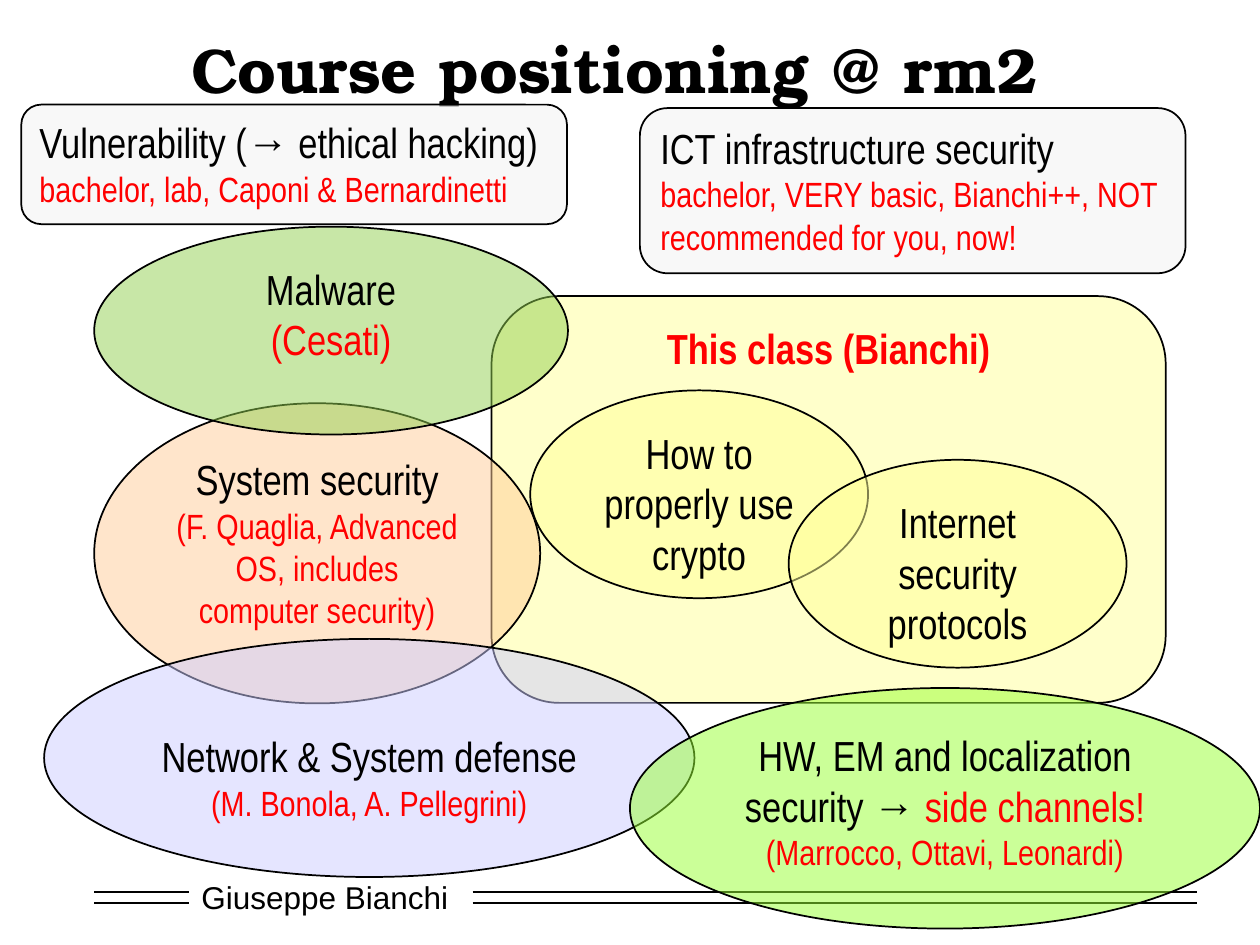
from lxml import etree
from pptx import Presentation
from pptx.dml.color import RGBColor
from pptx.enum.shapes import MSO_CONNECTOR, MSO_SHAPE
from pptx.enum.text import MSO_ANCHOR, PP_ALIGN
from pptx.oxml.ns import qn
from pptx.util import Cm, Pt

ELLIPSE, ROUNDED = MSO_SHAPE.OVAL, MSO_SHAPE.ROUNDED_RECTANGLE
STRAIGHT = MSO_CONNECTOR.STRAIGHT
TOP, MIDDLE = MSO_ANCHOR.TOP, MSO_ANCHOR.MIDDLE
LEFT, CENTER = PP_ALIGN.LEFT, PP_ALIGN.CENTER
TITLE_ONLY = 5
TITLE_FONT, TOPIC_FONT, FOOTER_FONT = "TeX Gyre Bonum", "Arial Narrow", "Arial"
COLORS = {
    "black": "000000", "red": "FF0000", "white": "FFFFFF", "yellow": "FFFF99",
    "orange": "FFCC99", "lavender": "CCCCFF", "lime": "99FF33",
    "green": "92D050", "gray": "F2F2F2",
}


def color(name):
    """Return the named colour."""
    return RGBColor.from_string(COLORS[name])


def style(para, font, size, tint="black", bold=False, align=LEFT):
    """Set the font and alignment of a paragraph."""
    para.alignment = align
    para.font.name, para.font.size, para.font.bold = font, Pt(size), bold
    para.font.color.rgb = color(tint)


def add_title(page, box, text):
    """Place and format the title placeholder."""
    title = page.shapes.title
    title.left, title.top, title.width, title.height = map(Cm, box)
    frame = title.text_frame
    frame.text, frame.vertical_anchor, frame.word_wrap = text, MIDDLE, True
    style(frame.paragraphs[0], TITLE_FONT, 36, bold=True, align=CENTER)


def add_footer(page, box, author):
    """Draw the author between two double rules."""
    left, top, width, height = box
    label_left, label_width, right_start = 1.91, 5.51, 7.63
    label = page.shapes.add_textbox(
        Cm(left + label_left), Cm(top), Cm(label_width), Cm(height))
    label.fill.solid()
    label.fill.fore_color.rgb = color("white")
    frame = label.text_frame
    frame.text, frame.vertical_anchor, frame.word_wrap = author, MIDDLE, True
    frame.margin_right = 0
    style(frame.paragraphs[0], FOOTER_FONT, 18)
    for drop in (0.4, 0.63):
        for start, end in ((0, label_left), (right_start, width)):
            rule = page.shapes.add_connector(
                STRAIGHT, Cm(left + start), Cm(top + drop),
                Cm(left + end), Cm(top + drop))
            rule.line.color.rgb = color("black")
            rule.line.width = Pt(1)
            etree.SubElement(rule._element.spPr, qn("a:effectLst"))


def add_topic(page, kind, box, fill, lines, align=CENTER, bold=False, margin=0.13):
    """Draw a half-transparent outline with lines of (size, (text, tint), ...)."""
    topic = page.shapes.add_shape(kind, *map(Cm, box))
    topic.shadow.inherit = False
    topic.fill.solid()
    topic.fill.fore_color.rgb = color(fill)
    tone = topic.fill._xPr.find(qn("a:solidFill"))[0]
    etree.SubElement(tone, qn("a:alpha"), val="50000")
    topic.line.color.rgb = color("black")
    topic.line.width = Pt(1)
    frame = topic.text_frame
    frame.word_wrap, frame.vertical_anchor = True, TOP
    frame.margin_top = Cm(margin)
    for index, (size, *spans) in enumerate(lines):
        para = frame.add_paragraph() if index else frame.paragraphs[0]
        style(para, TOPIC_FONT, size, spans[0][1], bold, align)
        for text, tint in spans:
            span = para.add_run()
            span.text = text
            if tint != spans[0][1]:
                span.font.color.rgb = color(tint)


def add_class(page, box):
    """Draw this class with its two overlapping subjects."""
    left, top, _, _ = box
    add_topic(page, ROUNDED, box, "yellow",
              [(24, ("This class (Bianchi)", "red"))], bold=True)
    subjects = (("How to properly use crypto", 0.78, 1.9),
                ("Internet security protocols", 5.99, 3.3))
    for text, shift, drop in subjects:
        add_topic(page, ELLIPSE, (left + shift, top + drop, 6.81, 4.19),
                  "yellow", [(24, (text, "black"))])


def add_related_courses(page):
    """Draw the ellipses of the neighbouring courses."""
    add_topic(page, ELLIPSE, (1.9, 8.13, 8.99, 6.05), "orange", [
        (24, ("System security", "black")),
        (20, ("(F. Quaglia, Advanced OS, includes computer security)", "red"))])
    add_topic(page, ELLIPSE, (0.89, 12.88, 13.11, 4.8), "lavender", [
        (24, ("Network & System defense", "black")),
        (20, ("(M. Bonola, A. Pellegrini)", "red"))], margin=1.15)
    add_topic(page, ELLIPSE, (12.7, 13.87, 12.7, 4.85), "lime", [
        (24, ("HW, EM and localization security → ", "black"),
         ("side channels!", "red")),
        (20, ("(Marrocco, Ottavi, Leonardi)", "red"))])
    add_topic(page, ELLIPSE, (1.9, 4.57, 9.55, 4.19), "green", [
        (24, ("Malware", "black")), (24, ("(Cesati)", "red"))])


def add_bachelor_courses(page):
    """Draw the boxes of the bachelor courses."""
    courses = (
        ((0.43, 2.11, 11, 2.41), "Vulnerability (→ ethical hacking)",
         "bachelor, lab, Caponi & Bernardinetti"),
        ((12.9, 2.18, 11, 3.33), "ICT infrastructure security",
         "bachelor, VERY basic, Bianchi++, NOT recommended for you, now!"),
    )
    for box, name, detail in courses:
        add_topic(page, ROUNDED, box, "gray",
                  [(24, (name, "black")), (20, (detail, "red"))], LEFT)


def main():
    """Build and save the deck."""
    deck = Presentation()
    deck.slide_width, deck.slide_height = Cm(25.4), Cm(19.05)
    page = deck.slides.add_slide(deck.slide_layouts[TITLE_ONLY])
    add_footer(page, (1.9, 17.58, 22.23, 1.02), "Giuseppe Bianchi")
    add_title(page, (1.7, 0.38, 21.39, 2.01), "Course positioning @ rm2")
    add_class(page, (9.91, 5.97, 13.59, 8.2))
    add_related_courses(page)
    add_bachelor_courses(page)
    deck.save("out.pptx")


if __name__ == "__main__":
    main()
